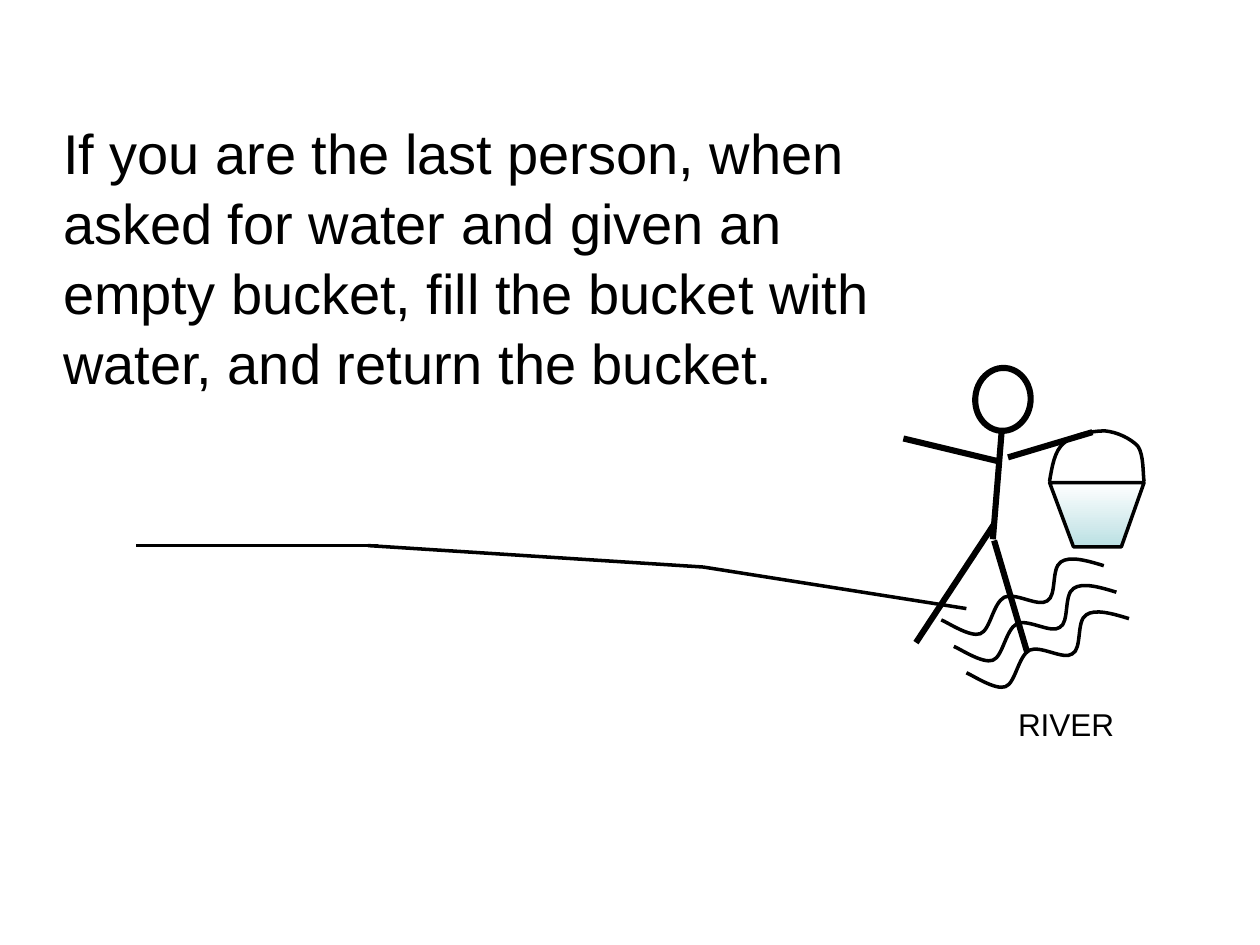
from lxml.etree import SubElement
from pptx import Presentation
from pptx.dml.color import RGBColor
from pptx.enum.shapes import MSO_CONNECTOR as Connector, MSO_SHAPE as Shape
from pptx.enum.text import MSO_ANCHOR as Anchor, MSO_AUTO_SIZE as AutoSize, PP_ALIGN as Align
from pptx.oxml.ns import qn
from pptx.util import Inches, Pt

BLACK = RGBColor(0, 0, 0)
WHITE = RGBColor(255, 255, 255)
WATER = RGBColor(0xBB, 0xE0, 0xE3)

GROUND = [(1.08, 4.33, 3, 4.33), (2.92, 4.33, 5.58, 4.5), (5.58, 4.5, 7.67, 4.83)]
LIMBS = [
    (7.95, 3.42, 7.88, 4.28),
    (7.89, 4.16, 7.27, 5.1),
    (7.89, 4.29, 8.15, 5.17),
    (7.92, 3.66, 7.17, 3.48),
    (8, 3.63, 8.67, 3.43),
]
# A start point, then two control points and an end point for each curve
WAVE = [
    (8.76, 4.49), (8.63, 4.45), (8.49, 4.41), (8.42, 4.46),
    (8.34, 4.51), (8.39, 4.73), (8.31, 4.77),
    (8.24, 4.82), (8.06, 4.7), (7.97, 4.74),
    (7.88, 4.79), (7.86, 5), (7.78, 5.03),
    (7.7, 5.06), (7.52, 4.94), (7.47, 4.92),
]
WAVE_STEP = (0.1, 0.21)
HANDLE = [
    (8.33, 3.82), (8.35, 3.7), (8.37, 3.58), (8.44, 3.52),
    (8.51, 3.45), (8.67, 3.42), (8.77, 3.42),
    (8.87, 3.43), (8.97, 3.48), (9.03, 3.54),
    (9.08, 3.61), (9.07, 3.77), (9.08, 3.82),
]
PAIL = [(8.33, 3.83), (8.52, 4.34), (8.9, 4.34), (9.08, 3.83)]


def bend(outline):
    """Turn each three straight segments of a freeform into one cubic curve."""
    track = next(outline.element.iter(qn("a:path")))
    segments = track.findall(qn("a:lnTo"))
    for first in range(0, len(segments), 3):
        curve = SubElement(track, qn("a:cubicBezTo"))
        for segment in segments[first:first + 3]:
            curve.append(segment[0])
            track.remove(segment)


class Sketch:
    """Draws black line art and text on one slide."""

    font = "Arial"
    thin, thick = 2, 3.5
    line_spacing = 1.04

    def __init__(self, slide):
        self.slide = slide

    def group(self):
        return self.slide.shapes.add_group_shape().shapes

    def outline(self, shape, weight):
        shape.line.color.rgb = BLACK
        shape.line.width = Pt(weight)

    def stroke(self, shapes, ends, weight):
        line = shapes.add_connector(Connector.STRAIGHT, *map(Inches, ends))
        self.outline(line, weight)
        SubElement(line.element.spPr, qn("a:effectLst"))

    def freeform(self, shapes, points, closed=False, curved=False):
        (x, y), *rest = [(Inches(px), Inches(py)) for px, py in points]
        builder = shapes.build_freeform(x, y)
        builder.add_line_segments(rest, close=closed)
        form = builder.convert_to_shape()
        if curved:
            bend(form)
        form.fill.background()
        form.shadow.inherit = False
        self.outline(form, self.thin)
        return form

    def oval(self, shapes, box, rotation):
        oval = shapes.add_shape(Shape.OVAL, *map(Inches, box))
        oval.rotation = rotation
        oval.fill.background()
        oval.shadow.inherit = False
        self.outline(oval, self.thick)

    def set_text(self, holder, text, box, size):
        holder.left, holder.top, holder.width, holder.height = map(Inches, box)
        frame = holder.text_frame
        frame.word_wrap = True
        frame.auto_size = AutoSize.NONE
        frame.vertical_anchor = Anchor.TOP
        frame.margin_left = frame.margin_right = frame.margin_top = frame.margin_bottom = 0
        frame.text = text
        paragraph = frame.paragraphs[0]
        paragraph.alignment = Align.LEFT
        paragraph.line_spacing = self.line_spacing
        paragraph.space_before = Pt(0)
        font = paragraph.runs[0].font
        font.name, font.size, font.color.rgb = self.font, Pt(size), BLACK

    def label(self, text, box, size):
        self.set_text(self.slide.shapes.add_textbox(*map(Inches, box)), text, box, size)


def main():
    deck = Presentation()
    deck.slide_width, deck.slide_height = Inches(10), Inches(7.5)
    slide = deck.slides.add_slide(deck.slide_layouts[5])
    sketch = Sketch(slide)

    sketch.set_text(
        slide.shapes.title,
        "If you are the last person, when asked for water and given an empty bucket, "
        "fill the bucket with water, and return the bucket.",
        box=(0.5, 0.92, 6.75, 2.13), size=32,
    )
    for ends in GROUND:
        sketch.stroke(slide.shapes, ends, sketch.thin)

    river = sketch.group()
    dx, dy = WAVE_STEP
    for row in range(3):
        sketch.freeform(river, [(x + row * dx, y + row * dy) for x, y in WAVE], curved=True)
    sketch.label("RIVER", box=(8.08, 5.58, 1, 0.3), size=18)

    bucket = sketch.group()
    pail = sketch.freeform(bucket, PAIL, closed=True)
    pail.fill.gradient()
    pail.fill.gradient_angle = 270
    for stop, color in zip(pail.fill.gradient_stops, (WHITE, WATER)):
        stop.color.rgb = color
    sketch.freeform(bucket, HANDLE, curved=True)

    person = sketch.group()
    sketch.oval(person, box=(7.74, 2.92, 0.44, 0.5), rotation=4.3)
    for ends in LIMBS:
        sketch.stroke(person, ends, sketch.thick)

    deck.save("out.pptx")


if __name__ == "__main__":
    main()
